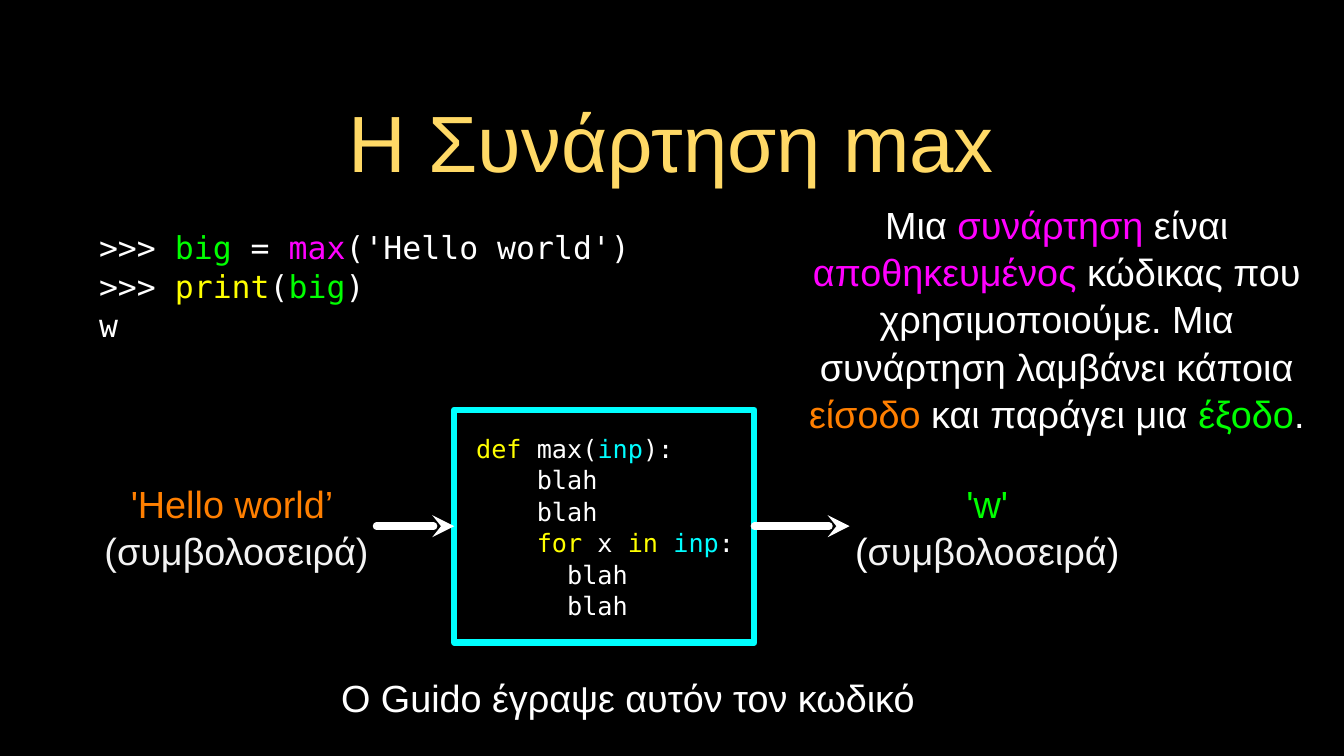
from lxml import etree
from pptx import Presentation, util as u
from pptx.dml.color import RGBColor
from pptx.enum import shapes, text
from pptx.oxml.ns import qn

WIDTH, HEIGHT = u.Inches(17.78), u.Inches(10)
SANS, MONO = "Arial", "DejaVu Sans Mono"
BLACK = RGBColor(0, 0, 0)
WHITE = RGBColor(255, 255, 255)
PALE = RGBColor(0xF3, 0xF3, 0xF3)
GOLD = RGBColor(0xFF, 0xD9, 0x66)
GREEN = RGBColor(0, 255, 0)
MAGENTA = RGBColor(255, 0, 255)
YELLOW = RGBColor(255, 255, 0)
ORANGE = RGBColor(0xFF, 0x7F, 0)
CYAN = RGBColor(0, 255, 255)
AQUA = RGBColor(0, 0xFD, 255)

BOX_LEFT, BOX_RIGHT = 33.8, 56.13
INPUT_RIGHT, OUTPUT_LEFT = 28.01, 63.22
FLOW_ROW = 69.6


def across(percent):
    return round(WIDTH * percent / 100)


def down(percent):
    return round(HEIGHT * percent / 100)


def area(left, top, width, height):
    return across(left), down(top), across(width), down(height)


def write(shape, lines, font, size, align, indent=0, inset=0):
    frame = shape.text_frame
    frame.word_wrap = True
    frame.auto_size = text.MSO_AUTO_SIZE.NONE
    frame.vertical_anchor = text.MSO_ANCHOR.MIDDLE
    frame.margin_left = frame.margin_right = u.Inches(inset)
    frame.margin_top = frame.margin_bottom = u.Inches(inset)
    for number, line in enumerate(lines):
        paragraph = frame.add_paragraph() if number else frame.paragraphs[0]
        paragraph.alignment = align
        paragraph.line_spacing = 1.04
        if indent:
            properties = paragraph._p.get_or_add_pPr()
            properties.set("marL", str(u.Inches(indent)))
            properties.set("indent", "0")
        paragraph.font.name = font
        paragraph.font.size = u.Pt(size)
        for words, color in line:
            run = paragraph.add_run()
            run.text = words
            run.font.color.rgb = color


def add_title(slide, words):
    title = slide.shapes.title
    title.left, title.top, title.width, title.height = area(7.09, 8.8, 85.71, 19)
    write(title, [[(words, GOLD)]], SANS, 76, text.PP_ALIGN.CENTER, inset=0.04)


def add_prose(slide, place, lines):
    box = slide.shapes.add_textbox(*area(*place))
    write(box, lines, SANS, 36, text.PP_ALIGN.CENTER)


def add_session(slide, place, lines):
    box = slide.shapes.add_textbox(*area(*place))
    write(box, lines, MONO, 30, text.PP_ALIGN.LEFT)


def add_function_box(slide, place, lines):
    box = slide.shapes.add_shape(shapes.MSO_SHAPE.RECTANGLE, *area(*place))
    box.shadow.inherit = False
    box.fill.background()
    box.line.color.rgb = CYAN
    box.line.width = u.Pt(6)
    write(box, lines, MONO, 24, text.PP_ALIGN.LEFT, indent=0.29)


def add_arrow(slide, tip, start):
    arrow = slide.shapes.add_connector(
        shapes.MSO_CONNECTOR.STRAIGHT,
        across(tip), down(FLOW_ROW), across(start), down(FLOW_ROW))
    arrow.line.color.rgb = WHITE
    arrow.line.width = u.Pt(7)
    outline = arrow.line._get_or_add_ln()
    outline.set("cap", "rnd")
    etree.SubElement(outline, qn("a:headEnd"), type="stealth")
    etree.SubElement(arrow._element.spPr, qn("a:effectLst"))


def main():
    deck = Presentation()
    deck.slide_width, deck.slide_height = WIDTH, HEIGHT
    slide = deck.slides.add_slide(deck.slide_layouts.get_by_name("Title Only"))
    slide.background.fill.solid()
    slide.background.fill.fore_color.rgb = BLACK

    add_title(slide, "Η Συνάρτηση max")
    add_session(slide, (7.37, 28.6, 43.87, 18.2), [
        [(">>> ", WHITE), ("big", GREEN), (" = ", WHITE), ("max", MAGENTA),
         ("('Hello world')", WHITE)],
        [(">>> ", WHITE), ("print", YELLOW), ("(", WHITE), ("big", GREEN),
         (")", WHITE)],
        [("w", WHITE)],
    ])

    blah = [("    blah", WHITE)]
    nested_blah = [("      blah", WHITE)]
    add_function_box(slide, (BOX_LEFT, 54.2, BOX_RIGHT - BOX_LEFT, 30.8), [
        [("def", YELLOW), (" max(", WHITE), ("inp", AQUA), ("):", WHITE)],
        blah,
        blah,
        [("    ", WHITE), ("for", YELLOW), (" x ", WHITE), ("in ", YELLOW),
         ("inp", AQUA), (":", WHITE)],
        nested_blah,
        nested_blah,
    ])

    add_arrow(slide, BOX_LEFT, INPUT_RIGHT)
    add_prose(slide, (7.2, 63.3, INPUT_RIGHT - 7.2, 12.5), [
        [("'Hello world’ ", ORANGE)],
        [("(συμβολοσειρά)", PALE)],
    ])
    add_prose(slide, (OUTPUT_LEFT, 63.3, 20.47, 12.5), [
        [("'w'", GREEN)],
        [("(", WHITE), ("συμβολοσειρά", PALE), (")", WHITE)],
    ])
    add_arrow(slide, OUTPUT_LEFT, BOX_RIGHT)

    add_prose(slide, (59.79, 24, 37.68, 36.1), [[
        ("Μια ", WHITE), ("συνάρτηση", MAGENTA), (" είναι ", WHITE),
        ("αποθηκευμένος", MAGENTA),
        (" κώδικας που χρησιμοποιούμε. Μια συνάρτηση λαμβάνει κάποια ", WHITE),
        ("είσοδο", ORANGE), (" και παράγει μια ", WHITE),
        ("έξοδο", GREEN), (".", WHITE),
    ]])
    add_prose(slide, (22.72, 88.7, 48.03, 6.8),
              [[("Ο Guido έγραψε αυτόν τον κωδικό", WHITE)]])
    deck.save("out.pptx")


if __name__ == "__main__":
    main()
